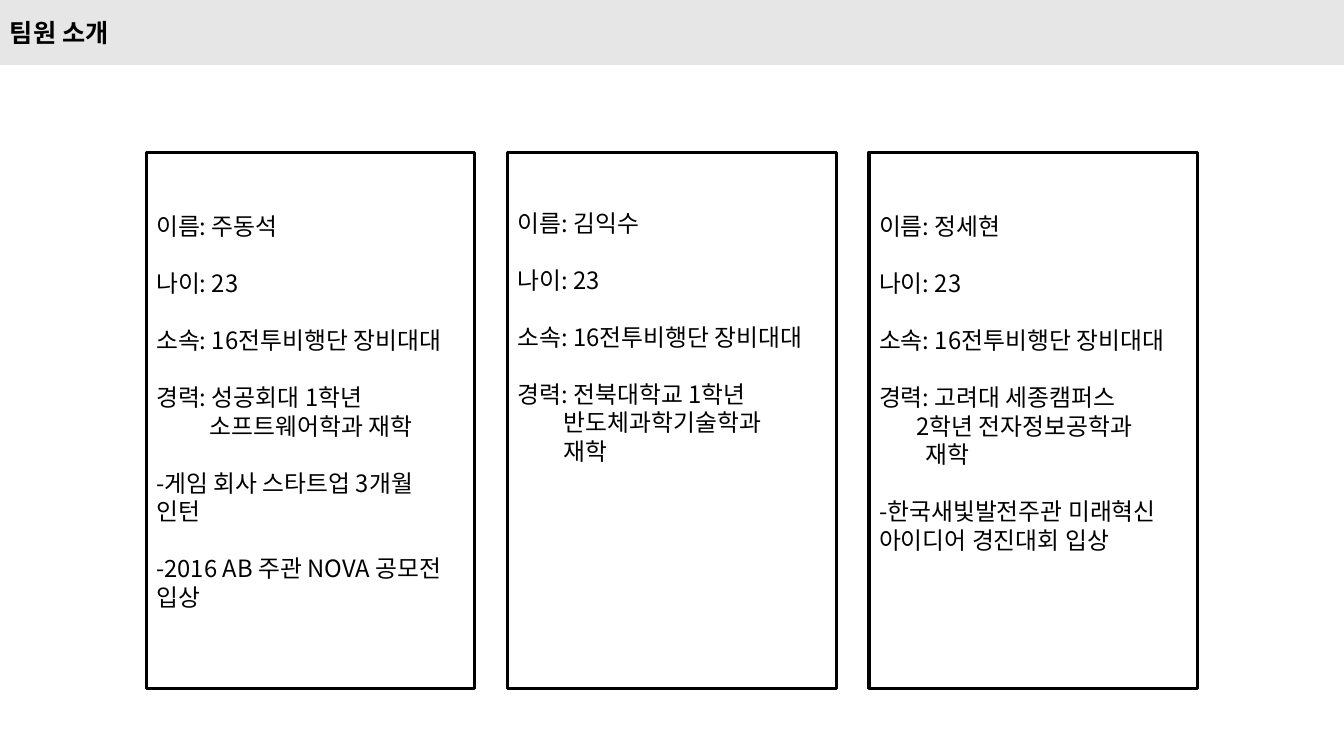
from pptx import Presentation
from pptx.dml.color import RGBColor as Rgb
from pptx.enum.shapes import MSO_SHAPE as Shape
from pptx.enum.text import MSO_ANCHOR as Anchor, PP_ALIGN as Align
from pptx.oxml.ns import qn
from pptx.util import Pt
from lxml.etree import SubElement

COLORS = {"banner": "E7E6E6", "ink": "000000"}
FONT = "Noto Sans CJK KR"
LINE_HEIGHT = 20.4
SLIDE_W, SLIDE_H = 960, 540
BANNER_H = 46

# Card grid
CARD_LEFT, CARD_TOP, CARD_W, CARD_H = 104.4, 108.7, 234.7, 383
CARD_PITCH = 258.2
PROFILE_W = 255.6

# Each member: text offset from the card top, then groups of (line, indent)
MEMBERS = [
    (39, [
        [("이름: 주동석", 0)],
        [("나이: 23", 0)],
        [("소속: 16전투비행단 장비대대", 0)],
        [("경력: 성공회대 1학년", 0), ("소프트웨어학과 재학", 38.5)],
        [("-게임 회사 스타트업 3개월", 0), ("인턴", 0)],
        [("-2016 AB 주관 NOVA 공모전", 0), ("입상", 0)],
    ]),
    (36.7, [
        [("이름: 김익수", 0)],
        [("나이: 23", 0)],
        [("소속: 16전투비행단 장비대대", 0)],
        [("경력: 전북대학교 1학년", 0), ("반도체과학기술학과", 33), ("재학", 33)],
    ]),
    (39, [
        [("이름: 정세현", 0)],
        [("나이: 23", 0)],
        [("소속: 16전투비행단 장비대대", 0)],
        [("경력: 고려대 세종캠퍼스", 0), ("2학년 전자정보공학과", 26.5),
         ("재학", 33.5)],
        [("-한국새빛발전주관 미래혁신", 0), ("아이디어 경진대회 입상", 0)],
    ]),
]


def format_runs(paragraph, size, bold=False):
    for run in paragraph.runs:
        font = run.font
        font.size, font.bold, font.name = Pt(size), bold, FONT
        font.color.rgb = Rgb.from_string(COLORS["ink"])
        SubElement(run._r.get_or_add_rPr(), qn("a:ea"), typeface=FONT)


def add_box(slide, left, top, width, height, line, line_width, fill=None):
    box = slide.shapes.add_shape(Shape.RECTANGLE, Pt(left), Pt(top),
                                 Pt(width), Pt(height))
    box.shadow.inherit = False
    if fill:
        box.fill.solid()
        box.fill.fore_color.rgb = Rgb.from_string(COLORS[fill])
    else:
        box.fill.background()
    box.line.color.rgb = Rgb.from_string(COLORS[line])
    box.line.width = Pt(line_width)
    return box


def add_banner(slide, left, top, width, height):
    banner = add_box(slide, left, top, width, height, "banner", 1, "banner")
    banner.text_frame.vertical_anchor = Anchor.MIDDLE
    title = banner.text_frame.paragraphs[0]
    title.text = "팀원 소개"
    title.alignment = Align.LEFT
    format_runs(title, 18, bold=True)


def add_member_card(slide, left, top, width, height, text_offset, groups):
    add_box(slide, left, top, width, height, "ink", 2.25)
    text_height = height - 2 * text_offset
    profile = slide.shapes.add_textbox(Pt(left), Pt(top + text_offset),
                                       Pt(PROFILE_W), Pt(text_height))
    frame = profile.text_frame
    frame.word_wrap = True
    frame.text = "\n".join(text for group in groups for text, _ in group)
    entries = [(indent, g > 0 and i == 0) for g, group in enumerate(groups)
               for i, (_, indent) in enumerate(group)]
    for paragraph, (indent, starts_group) in zip(frame.paragraphs, entries):
        paragraph.line_spacing = Pt(LINE_HEIGHT)
        if starts_group:
            paragraph.space_before = Pt(LINE_HEIGHT)
        if indent:
            paragraph._p.get_or_add_pPr().set("marL", str(int(Pt(indent))))
        format_runs(paragraph, 17)


def main():
    deck = Presentation()
    deck.slide_width, deck.slide_height = Pt(SLIDE_W), Pt(SLIDE_H)
    slide = deck.slides.add_slide(deck.slide_layouts[6])

    # Title banner
    add_banner(slide, 0, 0, SLIDE_W, BANNER_H)

    # Team members
    for column, (text_offset, groups) in enumerate(MEMBERS):
        add_member_card(slide, CARD_LEFT + column * CARD_PITCH, CARD_TOP,
                        CARD_W, CARD_H, text_offset, groups)

    deck.save("out.pptx")


if __name__ == "__main__":
    main()
